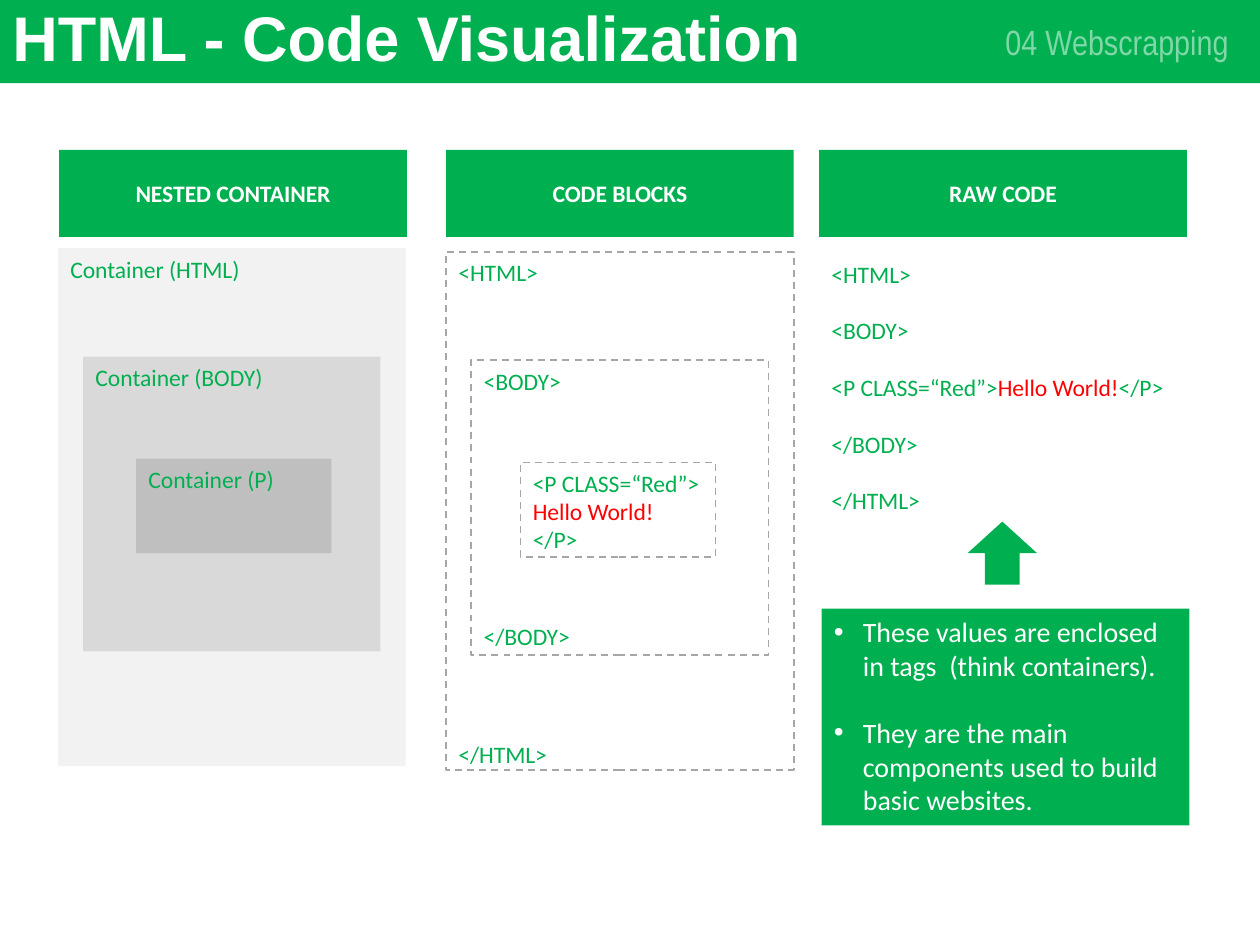
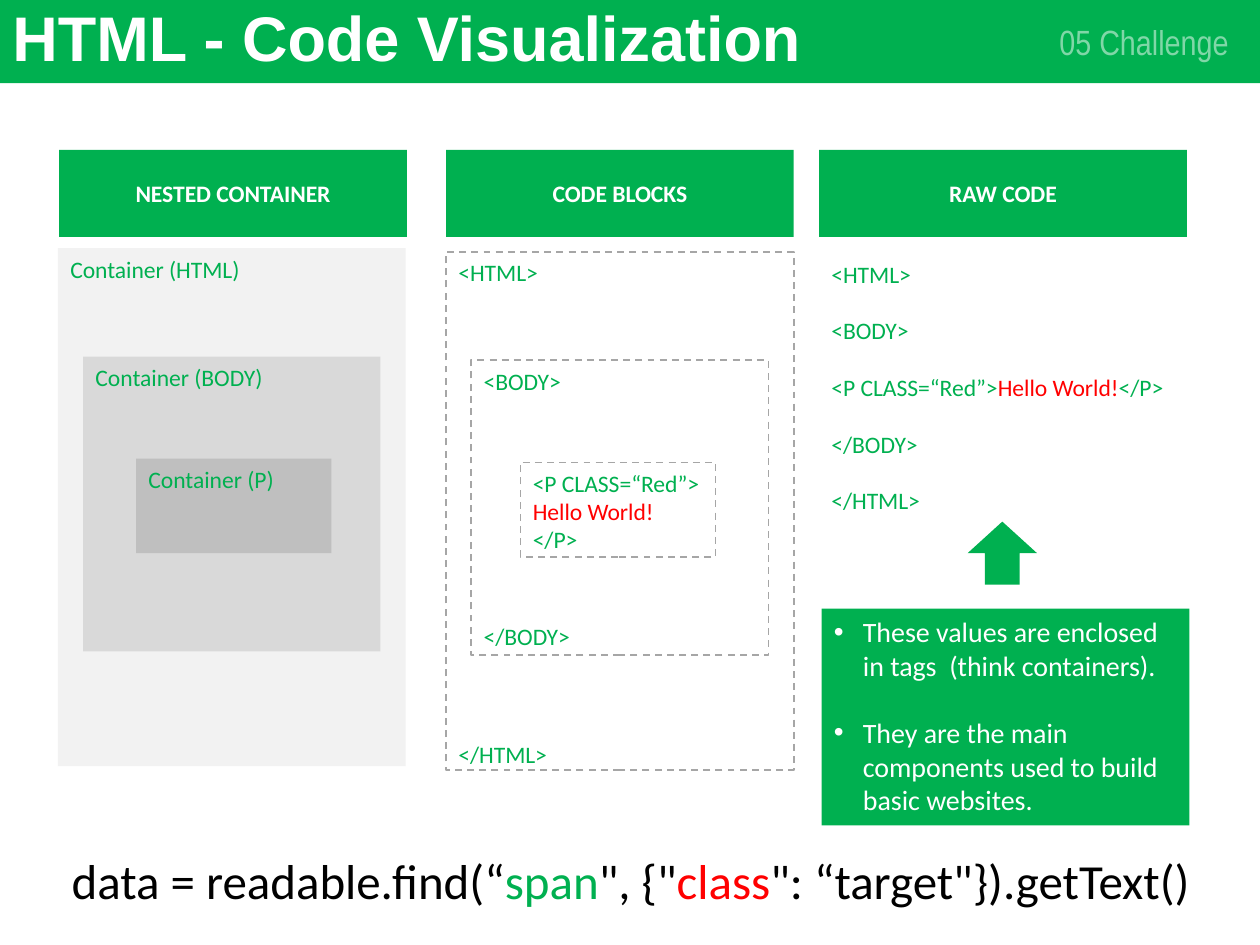
from lxml import etree
from pptx import Presentation
from pptx.dml.color import RGBColor
from pptx.enum.dml import MSO_LINE
from pptx.enum.shapes import MSO_SHAPE
from pptx.enum.text import MSO_ANCHOR, PP_ALIGN
from pptx.oxml.ns import qn
from pptx.util import Inches, Pt

RECTANGLE, UP_ARROW = MSO_SHAPE.RECTANGLE, MSO_SHAPE.UP_ARROW
DASH = MSO_LINE.DASH
TOP, MIDDLE = MSO_ANCHOR.TOP, MSO_ANCHOR.MIDDLE
LEFT, CENTER, RIGHT = PP_ALIGN.LEFT, PP_ALIGN.CENTER, PP_ALIGN.RIGHT

COLORS = {
    "green": "00B050", "red": "FF0000", "white": "FFFFFF", "black": "000000",
    "dash": "A6A6A6", "html": "F2F2F2", "body": "D9D9D9", "p": "BFBFBF",
}
BODY_SIZE = 13.5
LINE_PITCH = 1.2
HEADER_TOP, HEADER_HEIGHT = 1.19, 0.69
HELLO = ("Hello World!", "red")


def color(name):
    return RGBColor.from_string(COLORS[name])


def write(shape, lines, size=BODY_SIZE, ink="green", font="Calibri", bold=False,
          align=LEFT, anchor=TOP, blank_lines=0):
    frame = shape.text_frame
    frame.word_wrap = True
    frame.vertical_anchor = anchor
    for index, line in enumerate(lines):
        para = frame.paragraphs[0] if index == 0 else frame.add_paragraph()
        para.alignment = align
        if index and blank_lines:
            para.space_before = Pt(blank_lines * size * LINE_PITCH)
        para.font.size, para.font.name, para.font.bold = Pt(size), font, bold
        spans = [(line, ink)] if isinstance(line, str) else line
        for text, span_ink in spans:
            span = para.add_run()
            span.text = text
            span.font.color.rgb = color(span_ink)
    return frame


def add_text(page, box, lines, **style):
    shape = page.shapes.add_textbox(*map(Inches, box))
    return write(shape, lines, **style)


def add_block(page, box, fill=None, dashed=False, kind=RECTANGLE):
    shape = page.shapes.add_shape(kind, *map(Inches, box))
    shape.shadow.inherit = False
    if fill:
        shape.fill.solid()
        shape.fill.fore_color.rgb = color(fill)
    else:
        shape.fill.background()
    if dashed:
        shape.line.color.rgb = color("dash")
        shape.line.width = Pt(1)
        shape.line.dash_style = DASH
    else:
        shape.line.fill.background()
    return shape


def add_title_band(page, box, section):
    left, top, width, height = box
    add_block(page, box, "green")
    title = add_text(page, (left, top, 8.62, height), ["HTML - Code Visualization"],
                     size=36, ink="white", font="Arial", bold=True, anchor=MIDDLE)
    title.paragraphs[0].line_spacing = 0.9
    label = add_text(page, (left + width - 2.24, top + 0.13, 2.09, 0.4), [section],
                     size=20, ink="white", font="Arial Narrow", align=RIGHT, anchor=MIDDLE)
    fill = label.paragraphs[0].runs[0].font.fill
    fill.solid()
    fill.fore_color.rgb = color("white")
    for tint in label.paragraphs[0].runs[0].font._element.iter(qn("a:srgbClr")):
        etree.SubElement(tint, qn("a:alpha"), val="50000")


def add_header(page, left, width, text):
    header = add_block(page, (left, HEADER_TOP, width, HEADER_HEIGHT), "green")
    write(header, [text], ink="white", bold=True, align=CENTER, anchor=MIDDLE)


def nested_boxes(box, inner_left):
    left, top, width, height = box
    return [
        box,
        (left + 0.2, top + 0.86, width - 0.4, 2.34),
        (left + inner_left, top + 1.67, 1.55, 0.75),
    ]


def add_nested_containers(page, box):
    for tag, place in zip(("html", "body", "p"), nested_boxes(box, 0.62)):
        write(add_block(page, place, tag), [f"Container ({tag.upper()})"])


def add_code_blocks(page, box):
    contents = [
        (["<HTML>", "</HTML>"], 16),
        (["<BODY>", "</BODY>"], 8),
        (["<P CLASS=“Red”>", [HELLO], "</P>"], 0),
    ]
    for (lines, blank_lines), place in zip(contents, nested_boxes(box, 0.59)):
        write(add_block(page, place, dashed=True), lines, blank_lines=blank_lines)


def add_raw_code(page, box):
    left, top, width, height = box
    paragraph_tag = [("<P CLASS=“Red”>", "green"), HELLO, ("</P>", "green")]
    add_text(page, box, ["<HTML>", "<BODY>", paragraph_tag, "</BODY>", "</HTML>"],
             blank_lines=1)
    add_block(page, (left + 1.18, top + 2.13, 0.55, 0.5), "green", kind=UP_ARROW)
    note = add_block(page, (left + 0.02, top + 2.82, width, 1.72), "green")
    frame = write(note, [
        "These values are enclosed in tags  (think containers).",
        "They are the main components used to build basic websites.",
    ], size=16, ink="white", blank_lines=1)
    for para in frame.paragraphs:
        properties = para._p.get_or_add_pPr()
        properties.set("marL", str(Inches(0.23)))
        properties.set("indent", str(Inches(-0.23)))
        bullet_font = etree.Element(qn("a:buFont"), typeface="Arial")
        bullet = etree.Element(qn("a:buChar"), char="•")
        defaults = properties.find(qn("a:defRPr"))
        defaults.addprevious(bullet_font)
        defaults.addprevious(bullet)


def add_code_page(deck, section):
    page = deck.slides.add_slide(deck.slide_layouts[6])
    add_title_band(page, (0, 0, 10, 0.66), section)
    add_header(page, 0.47, 2.76, "NESTED CONTAINER")
    add_header(page, 3.54, 2.76, "CODE BLOCKS")
    add_header(page, 6.5, 2.92, "RAW CODE")
    add_nested_containers(page, (0.46, 1.97, 2.76, 4.11))
    add_code_blocks(page, (3.54, 2, 2.76, 4.11))
    add_raw_code(page, (6.5, 2.01, 2.92, 2.15))
    return page


def main():
    deck = Presentation()
    deck.slide_width, deck.slide_height = Inches(10), Inches(7.5)
    add_code_page(deck, "04 Webscrapping")
    challenge = add_code_page(deck, "05 Challenge")
    add_text(challenge, (0.01, 6.7, 9.99, 0.57), [[
        ("data = readable.find(“", "black"),
        ("span", "green"),
        ("\", {\"", "black"),
        ("class", "red"),
        ("\": “target\"}).getText()", "black"),
    ]], size=28, align=CENTER)
    deck.save("out.pptx")


if __name__ == "__main__":
    main()
